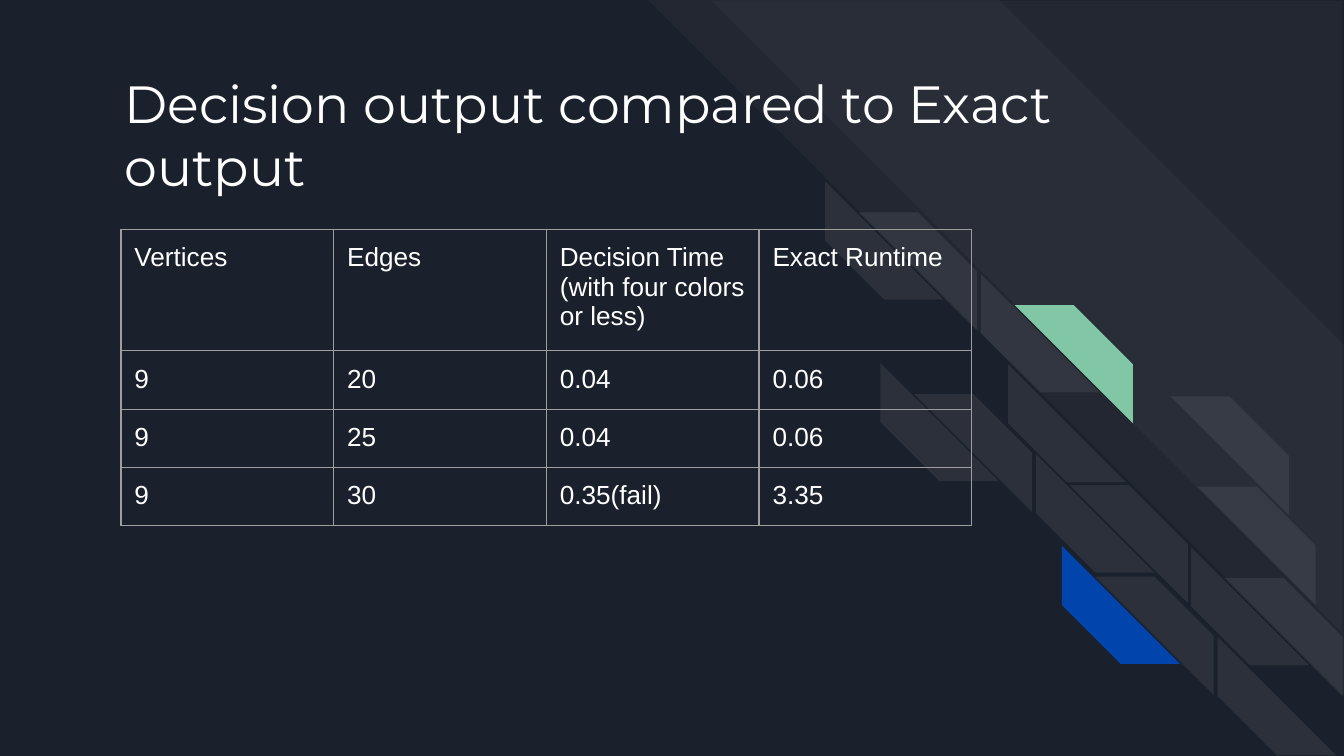
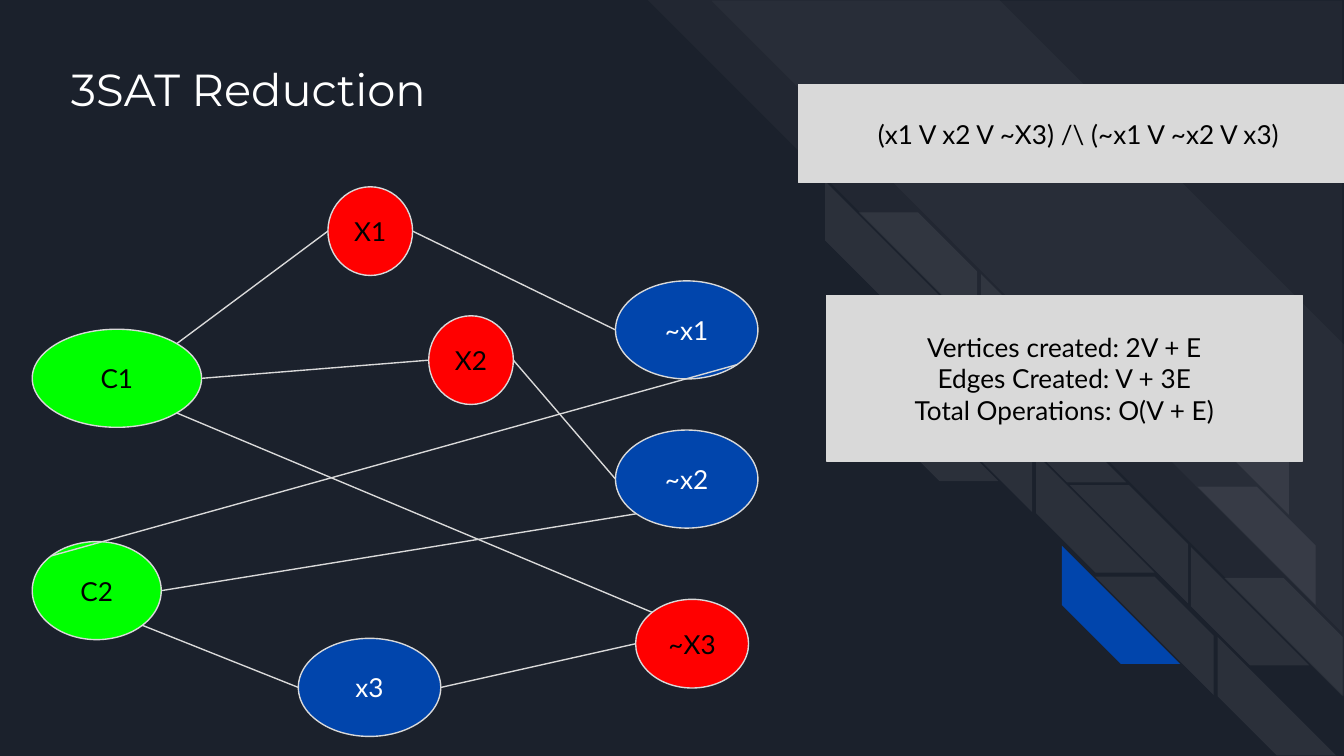
from dataclasses import dataclass
from math import sqrt

from lxml.etree import SubElement
from pptx import Presentation
from pptx.dml.color import RGBColor
from pptx.enum.shapes import MSO_CONNECTOR, MSO_SHAPE
from pptx.enum.text import MSO_ANCHOR, PP_ALIGN
from pptx.oxml.ns import qn
from pptx.util import Inches, Pt


@dataclass(frozen=True)
class Theme:
    night: str = "1B212C"
    white: str = "FFFFFF"
    black: str = "000000"
    blue: str = "0145AC"
    mint: str = "82C7A5"
    red: str = "FF0000"
    green: str = "00FF00"
    pale: str = "D9D9D9"
    grid: str = "9E9E9E"
    title_font: str = "Montserrat"
    table_font: str = "Arial"
    body_font: str = "Lato"
    body_size: int = 14
    hairline: float = 0.75


T = Theme()
WIDTH, HEIGHT = Inches(10), Inches(5.625)
UNIT = WIDTH / 10  # side of one square of the layout grid
DIAGONAL = 1 / sqrt(2)
COMPASS = {
    "E": (1, 0), "W": (-1, 0),
    "NE": (DIAGONAL, -DIAGONAL), "NW": (-DIAGONAL, -DIAGONAL),
    "SE": (DIAGONAL, DIAGONAL), "SW": (-DIAGONAL, DIAGONAL),
}

BRICK_SIZE = 0.88
BRICK_MATE = (0.25, 0.23)  # from a left brick to the right brick beside it
# left, top, colour of left brick, colour of right brick (None is translucent)
BRICK_PAIRS = [
    (6.14, 1.35, None, None),
    (6.55, 2.7, None, None),
    (7.3, 2.04, None, T.mint),
    (7.71, 3.38, None, None),
    (7.9, 4.06, T.blue, None),
    (8.86, 4.07, None, None),
]
LEFT_BRICKS = [(7.5, 2.71), (9.06, 4.74)]
RIGHT_BRICKS = [(8.71, 2.95), (8.91, 3.62)]

RUNTIMES = [
    ["Vertices", "Edges", "Decision Time (with four colors or less)", "Exact Runtime"],
    ["9", "20", "0.04", "0.06"],
    ["9", "25", "0.04", "0.06"],
    ["9", "30", "0.35(fail)", "3.35"],
]

# label: left, top, width, height, fill, text colour
NODES = {
    "~x1": (4.58, 2.09, 1.06, 0.73, T.blue, T.white),
    "X1": (2.44, 1.39, 0.63, 0.66, T.red, T.black),
    "C2": (0.24, 4.03, 0.96, 0.73, T.green, T.black),
    "C1": (0.24, 2.45, 1.26, 0.73, T.green, T.black),
    "~X3": (4.73, 4.46, 0.84, 0.66, T.red, T.black),
    "X2": (3.19, 2.35, 0.63, 0.66, T.red, T.black),
    "~x2": (4.58, 3.2, 1.06, 0.73, T.blue, T.white),
    "x3": (2.22, 4.75, 1.06, 0.73, T.blue, T.white),
}
EDGES = [
    ("C1", "NE", "X1", "W"),
    ("X1", "E", "~x1", "W"),
    ("~x1", "SE", "C2", "NW"),
    ("C1", "E", "X2", "W"),
    ("C1", "SE", "~X3", "NW"),
    ("X2", "E", "~x2", "W"),
    ("x3", "E", "~X3", "W"),
    ("C2", "SE", "x3", "W"),
    ("C2", "E", "~x2", "SW"),
]


def units(*values):
    return [round(v * UNIT) for v in values]


def rgb(color):
    return RGBColor.from_string(color)


def style_text(tf, font, size, color, align=PP_ALIGN.LEFT):
    tf.word_wrap = True
    tf.margin_left = tf.margin_right = tf.margin_top = tf.margin_bottom = Inches(0.1)
    for p in tf.paragraphs:
        p.alignment = align
        for r in p.runs:
            r.font.name, r.font.size = font, Pt(size)
            r.font.color.rgb = rgb(color)


def add_filled(slide, preset, box, color):
    sp = slide.shapes.add_shape(preset, *units(*box))
    sp.shadow.inherit = False
    sp.fill.solid()
    sp.fill.fore_color.rgb = rgb(color)
    sp.line.fill.background()
    return sp


def add_stripe(slide, box, cut, rotation=0, color=None, opacity=7):
    """Diagonal stripe; without a colour it is translucent white."""
    sp = add_filled(slide, MSO_SHAPE.DIAGONAL_STRIPE, box, color or T.white)
    sp.adjustments[0] = cut
    sp.rotation = rotation
    if color is None:
        clr = sp.element.spPr.find(".//" + qn("a:srgbClr"))
        SubElement(clr, qn("a:alpha"), val=str(opacity * 1000))
    return sp


def left_brick(slide, x, y, color=None):
    add_stripe(slide, (x, y, BRICK_SIZE, BRICK_SIZE), 0.5, 270, color)


def right_brick(slide, x, y, color=None):
    sp = add_stripe(slide, (x, y, BRICK_SIZE, BRICK_SIZE), 0.5, 0, color)
    sp.element.spPr.find(qn("a:xfrm")).set("flipH", "1")


def add_backdrop(slide, accent):
    """Two broad bands and the bricks; accent shows the mint brick."""
    add_stripe(slide, (4.82, 0, 5.18, 5.18), 0.495, 90, opacity=3)
    add_stripe(slide, (5.29, 0.01, 4.7, 4.69), 0, 90, opacity=3)
    dx, dy = BRICK_MATE
    for x, y, left_color, right_color in BRICK_PAIRS:
        left_brick(slide, x, y, left_color)
        if accent or right_color != T.mint:
            right_brick(slide, x + dx, y + dy, right_color)
    for x, y in LEFT_BRICKS:
        left_brick(slide, x, y)
    for x, y in RIGHT_BRICKS:
        right_brick(slide, x, y)


def add_title(slide, text, left, top, size):
    tf = slide.shapes.add_textbox(*units(left, top, 7.7, 1)).text_frame
    tf.text = text
    style_text(tf, T.title_font, size, T.white)


def add_borders(cell):
    tc_pr = cell._tc.get_or_add_tcPr()
    for side in ("lnL", "lnR", "lnT", "lnB"):
        ln = SubElement(tc_pr, qn("a:" + side), w=str(Pt(T.hairline)))
        SubElement(SubElement(ln, qn("a:solidFill")), qn("a:srgbClr"), val=T.grid)


def add_grid_table(slide, rows, left, top, col_width, row_height):
    n_rows, n_cols = len(rows), len(rows[0])
    box = units(left, top, n_cols * col_width, n_rows * row_height)
    table = slide.shapes.add_table(n_rows, n_cols, *box).table
    table.first_row = table.horz_banding = False
    for i, row in enumerate(rows):
        for j, text in enumerate(row):
            cell = table.cell(i, j)
            cell.text = text
            style_text(cell.text_frame, T.table_font, T.body_size, T.white)
            cell.margin_left = cell.margin_right = Inches(0.1)
            cell.margin_top = cell.margin_bottom = Inches(0.1)
            add_borders(cell)
            cell.fill.background()


def add_label_shape(slide, preset, text, box, fill, color):
    sp = add_filled(slide, preset, box, fill)
    sp.line.color.rgb = rgb(T.pale)
    sp.line.width = Pt(T.hairline)
    tf = sp.text_frame
    tf.text = text
    tf.vertical_anchor = MSO_ANCHOR.MIDDLE
    style_text(tf, T.body_font, T.body_size, color, PP_ALIGN.CENTER)


def add_panel(slide, text, *box):
    add_label_shape(slide, MSO_SHAPE.RECTANGLE, text, box, T.pale, T.black)


def rim_point(label, direction):
    """Point on the rim of a node's ellipse."""
    x, y, w, h = NODES[label][:4]
    dx, dy = COMPASS[direction]
    return units(x + w / 2 * (1 + dx), y + h / 2 * (1 + dy))


def add_edge(slide, start, start_side, end, end_side):
    line = slide.shapes.add_connector(
        MSO_CONNECTOR.STRAIGHT, *rim_point(start, start_side), *rim_point(end, end_side))
    line.line.color.rgb = rgb(T.pale)
    line.line.width = Pt(T.hairline)
    SubElement(line.element.spPr, qn("a:effectLst"))


def add_slide(prs, accent=True):
    slide = prs.slides.add_slide(prs.slide_layouts[6])
    add_backdrop(slide, accent)
    return slide


def runtime_slide(prs):
    slide = add_slide(prs)
    add_title(slide, "Decision output compared to Exact output", 0.83, 0.43, 28)
    add_grid_table(slide, RUNTIMES, 0.9, 1.71, 1.583, 0.417)


def reduction_slide(prs):
    slide = add_slide(prs, accent=False)
    add_title(slide, "3SAT Reduction", 0.43, 0.36, 24)
    for label, (*box, fill, color) in NODES.items():
        add_label_shape(slide, MSO_SHAPE.FLOWCHART_CONNECTOR, label, box, fill, color)
    add_panel(slide, "(x1 V x2 V ~X3) /\\ (~x1 V ~x2 V x3)", 5.94, 0.63, 4.17, 0.73)
    for edge in EDGES:
        add_edge(slide, *edge)
    add_panel(
        slide,
        "Vertices created: 2V + E\nEdges Created: V + 3E\nTotal Operations: O(V + E)",
        6.15, 2.2, 3.54, 1.23)


def main():
    prs = Presentation()
    prs.slide_width, prs.slide_height = WIDTH, HEIGHT
    backdrop = prs.slide_master.background.fill
    backdrop.solid()
    backdrop.fore_color.rgb = rgb(T.night)
    runtime_slide(prs)
    reduction_slide(prs)
    prs.save("out.pptx")


if __name__ == "__main__":
    main()
